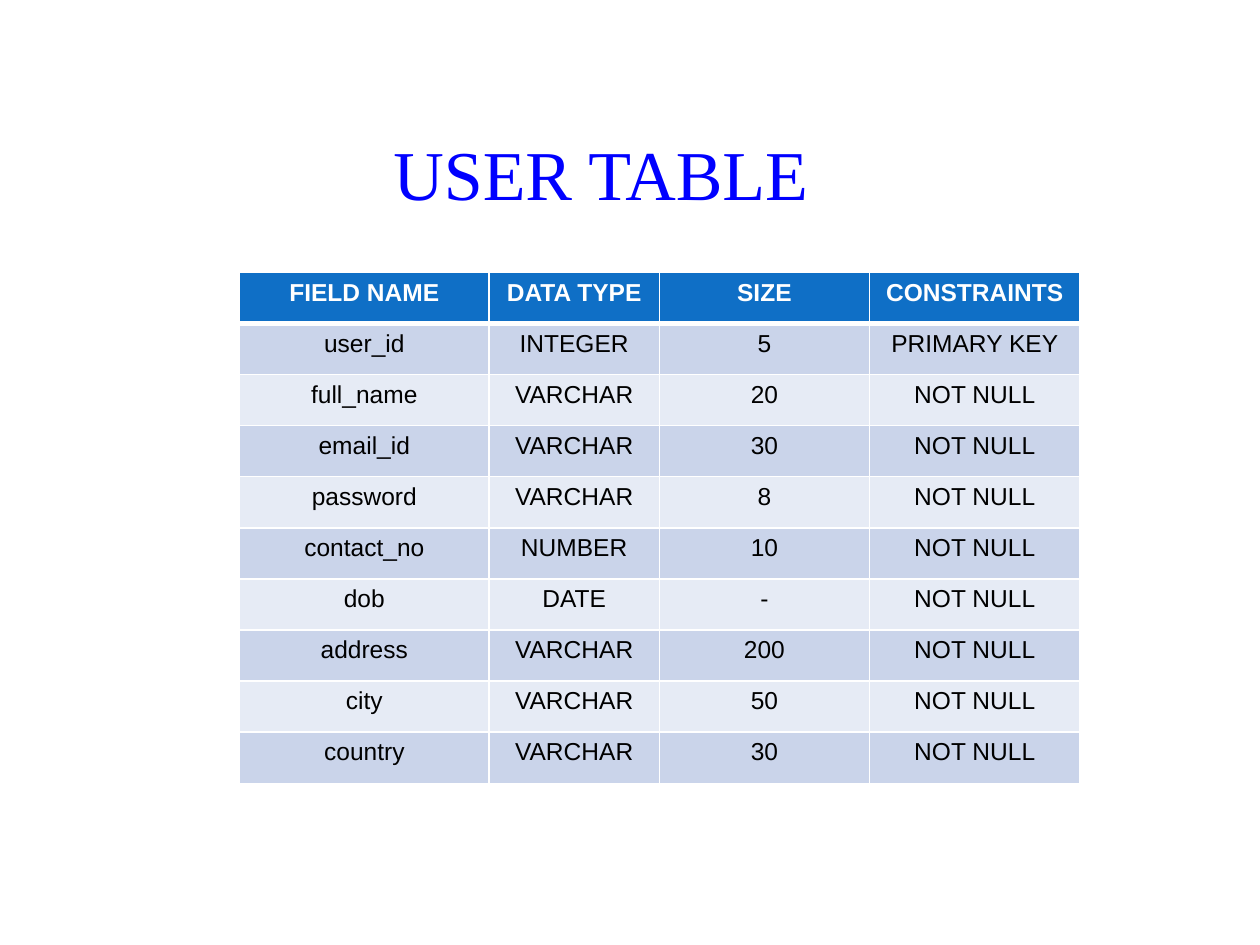
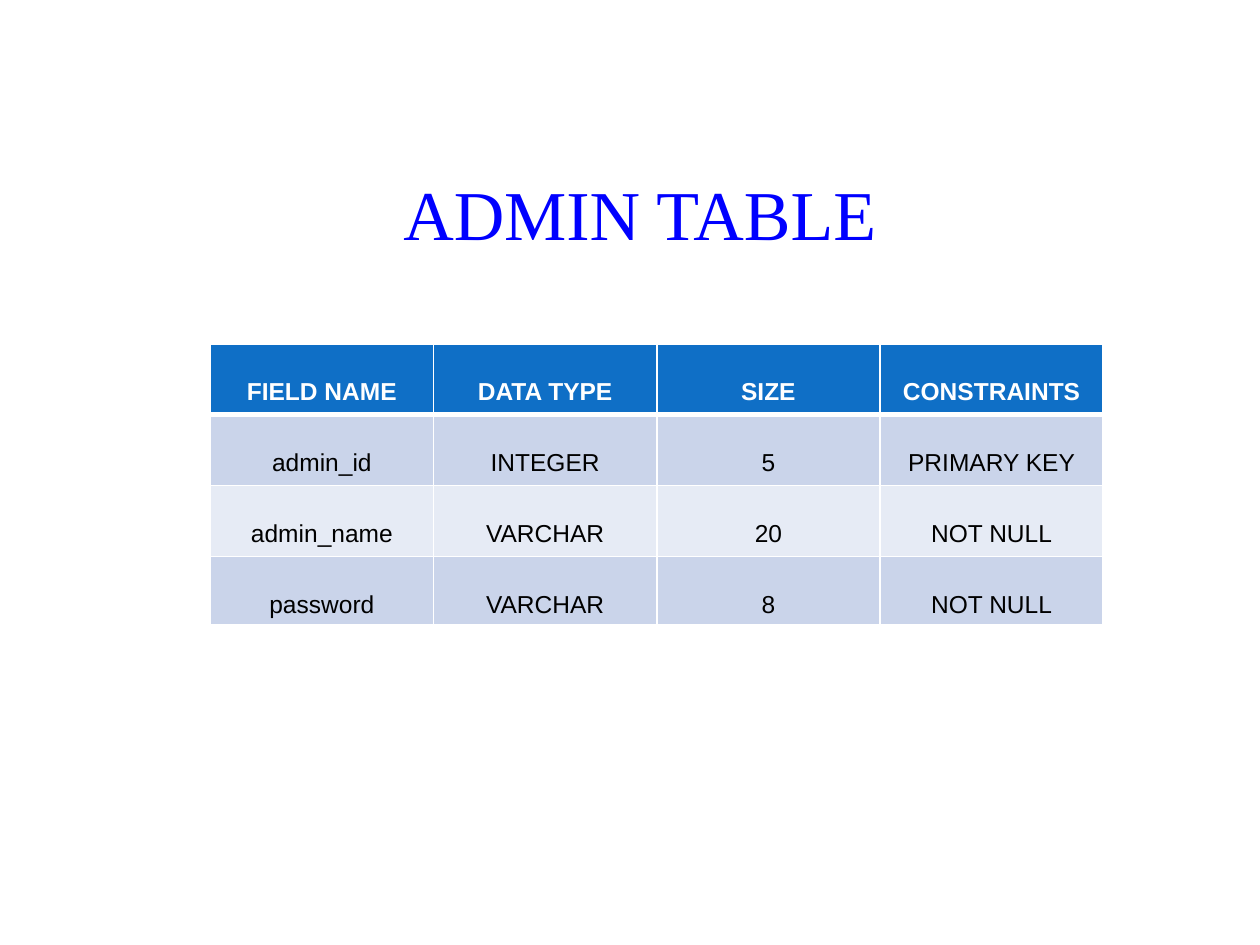
from lxml.etree import SubElement
from pptx import Presentation
from pptx.dml.color import RGBColor
from pptx.enum.text import MSO_ANCHOR, MSO_AUTO_SIZE, PP_ALIGN
from pptx.oxml.ns import qn
from pptx.util import Cm, Pt

COLORS = {
    "title": "0000FF",
    "header": "0F6FC6",
    "odd": "CAD4EA",
    "even": "E6EBF5",
    "line": "FFFFFF",
    "header_text": "FFFFFF",
    "text": "000000",
}
HEADER = ["FIELD NAME", "DATA TYPE", "SIZE", "CONSTRAINTS"]
USER_ROWS = [
    ["user_id", "INTEGER", "5", "PRIMARY KEY"],
    ["full_name", "VARCHAR", "20", "NOT NULL"],
    ["email_id", "VARCHAR", "30", "NOT NULL"],
    ["password", "VARCHAR", "8", "NOT NULL"],
    ["contact_no", "NUMBER", "10", "NOT NULL"],
    ["dob", "DATE", "-", "NOT NULL"],
    ["address", "VARCHAR", "200", "NOT NULL"],
    ["city", "VARCHAR", "50", "NOT NULL"],
    ["country", "VARCHAR", "30", "NOT NULL"],
]
ADMIN_ROWS = [
    ["admin_id", "INTEGER", "5", "PRIMARY KEY"],
    ["admin_name", "VARCHAR", "20", "NOT NULL"],
    ["password", "VARCHAR", "8", "NOT NULL"],
]


def set_attrs(obj, values):
    for name, value in values.items():
        setattr(obj, name, value)


class Deck:
    title_font = {"name": "Times New Roman", "size": Pt(40), "bold": False}
    cell_font = {"name": "Arial", "size": Pt(14)}

    def __init__(self):
        self.prs = Presentation()
        set_attrs(self.prs, {"slide_width": Cm(25.4), "slide_height": Cm(19.05)})
        self.s = None

    def add_slide(self):
        self.s = self.prs.slides.add_slide(self.prs.slide_layouts[5])

    def add_text(self, tf, text, align, font, color):
        p = tf.paragraphs[0]
        p.alignment = align
        r = p.add_run()
        r.text = text
        set_attrs(r.font, font)
        r.font.color.rgb = RGBColor.from_string(COLORS[color])

    def title(self, text, left, top, indent):
        sp = self.s.shapes.title
        set_attrs(sp, {"left": Cm(left), "top": Cm(top),
                       "width": Cm(22.86), "height": Cm(3.18)})
        tf = sp.text_frame
        set_attrs(tf, {
            "margin_left": Cm(indent), "margin_top": Cm(0.13),
            "margin_right": 0, "margin_bottom": 0, "word_wrap": True,
            "auto_size": MSO_AUTO_SIZE.NONE,
            "vertical_anchor": MSO_ANCHOR.BOTTOM,
        })
        self.add_text(tf, text, PP_ALIGN.LEFT, self.title_font, "title")

    def borders(self, cell, row):
        tcPr = cell._tc.get_or_add_tcPr()
        widths = {"L": 1, "R": 1, "T": 3 if row == 1 else 1, "B": 3 if row == 0 else 1}
        for side, width in widths.items():
            ln = SubElement(tcPr, qn(f"a:ln{side}"), w=str(Pt(width)))
            fill = SubElement(ln, qn("a:solidFill"))
            SubElement(fill, qn("a:srgbClr"), val=COLORS["line"])

    def table(self, rows, left, top, widths, heights, margin_top):
        rows = [HEADER] + rows
        frame = self.s.shapes.add_table(
            len(rows), len(widths), Cm(left), Cm(top),
            Cm(sum(widths)), Cm(sum(heights)))
        table = frame.table
        for column, width in zip(table.columns, widths):
            column.width = Cm(width)
        for i, (values, height) in enumerate(zip(rows, heights)):
            table.rows[i].height = Cm(height)
            band = "header" if i == 0 else "odd" if i % 2 else "even"
            color = "header_text" if i == 0 else "text"
            for j, text in enumerate(values):
                cell = table.cell(i, j)
                set_attrs(cell, {
                    "margin_left": Cm(0.25), "margin_right": Cm(0.25),
                    "margin_top": Cm(margin_top), "margin_bottom": Cm(0.13),
                    "vertical_anchor": MSO_ANCHOR.TOP,
                })
                self.borders(cell, i)
                cell.fill.solid()
                cell.fill.fore_color.rgb = RGBColor.from_string(COLORS[band])
                font = {**self.cell_font, "bold": i == 0}
                self.add_text(cell.text_frame, text, PP_ALIGN.CENTER, font, color)


def main():
    deck = Deck()

    deck.add_slide()
    deck.title("USER TABLE", 2.29, 1.14, 5.64)
    deck.table(USER_ROWS, 4.83, 5.49, [5.03, 3.43, 4.24, 4.24], [1.03] * 10, 0.13)

    deck.add_slide()
    deck.title("ADMIN TABLE", 1.78, 1.96, 6.35)
    deck.table(ADMIN_ROWS, 4.24, 6.93, [4.5] * 4, [1.43] * 3 + [1.38], 0.69)

    deck.prs.save("out.pptx")


if __name__ == "__main__":
    main()
